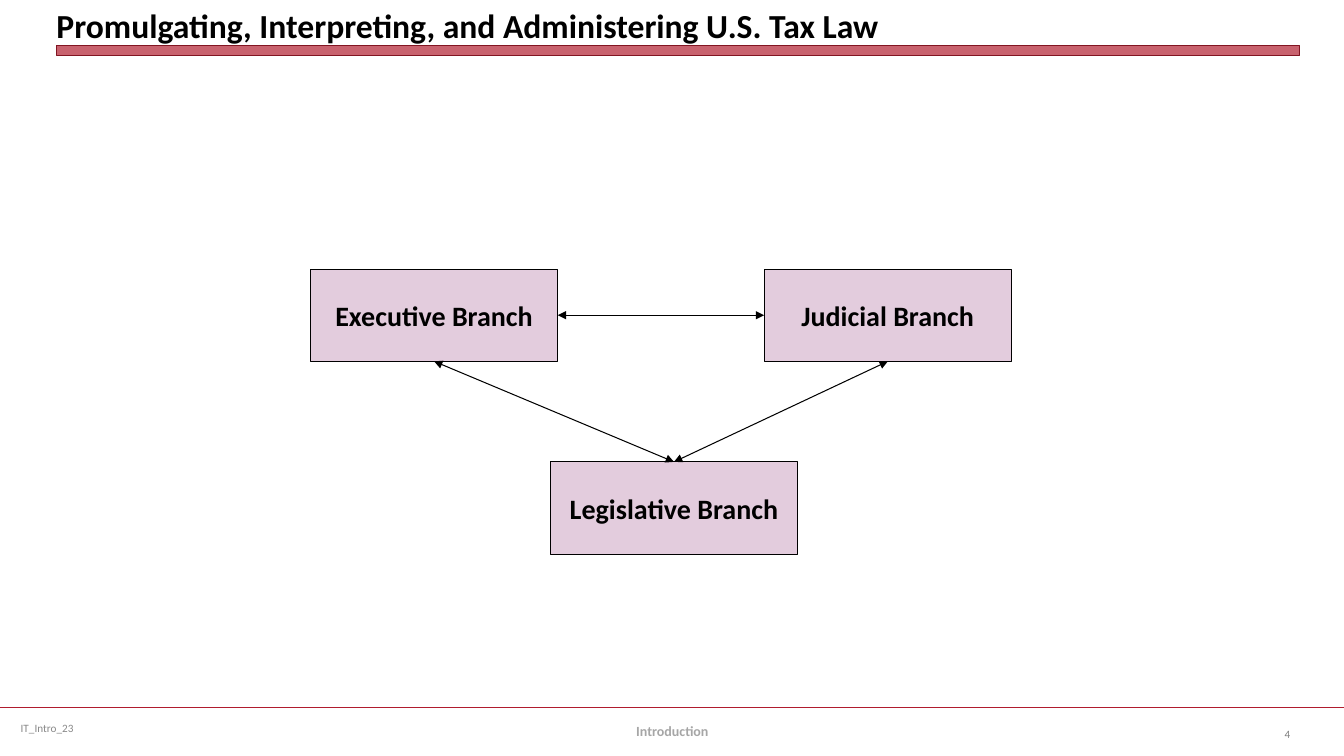
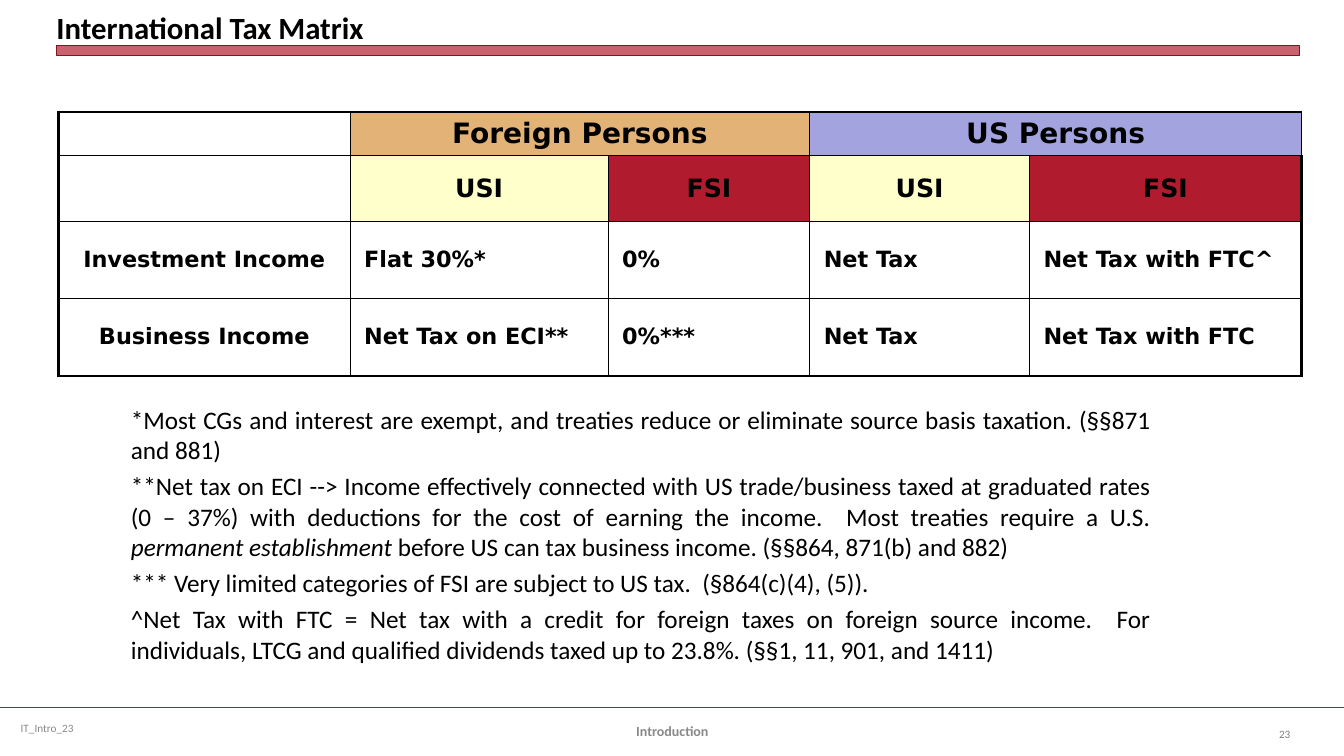
from dataclasses import dataclass
from typing import Any

from pptx import Presentation
from pptx.dml.color import RGBColor
from pptx.enum.shapes import MSO_CONNECTOR, MSO_SHAPE
from pptx.enum.text import MSO_ANCHOR as Anchor, PP_ALIGN as Align
from pptx.oxml.ns import qn
from pptx.oxml.xmlchemy import OxmlElement
from pptx.util import Inches, Pt

BLACK = RGBColor(0x00, 0x00, 0x00)
WHITE = RGBColor(0xFF, 0xFF, 0xFF)
CRIMSON = RGBColor(0xB0, 0x1C, 0x2E)
DARK_CRIMSON = RGBColor(0x82, 0x15, 0x22)
MAUVE = RGBColor(0xE3, 0xCC, 0xDD)
TAN = RGBColor(0xE3, 0xB2, 0x76)
LAVENDER = RGBColor(0xA3, 0xA3, 0xE0)
CREAM = RGBColor(0xFF, 0xFF, 0xCC)
LIGHT_GRAY = RGBColor(0xA6, 0xA6, 0xA6)
GRAY = RGBColor(0x89, 0x89, 0x89)
DARK_GRAY = RGBColor(0x80, 0x80, 0x80)

BODY_FONT, TABLE_FONT = "Calibri", "DejaVu Sans"
SLIDE_WIDTH, SLIDE_HEIGHT = Inches(13.33), Inches(7.5)
TOP, LEFT, BOTTOM, RIGHT = range(4)  # connection sites of a rectangle


def across(percent: float) -> int:
    return round(SLIDE_WIDTH * percent / 100)


def down(percent: float) -> int:
    return round(SLIDE_HEIGHT * percent / 100)


@dataclass(frozen=True)
class Area:
    """A rectangle in percent of the slide's width and height."""
    left: float
    top: float
    width: float
    height: float

    def lengths(self) -> tuple[int, int, int, int]:
        return across(self.left), down(self.top), across(self.width), down(self.height)


@dataclass(frozen=True)
class TextStyle:
    size: float
    color: RGBColor = BLACK
    bold: bool = False
    align: Align = Align.LEFT
    font: str = BODY_FONT


@dataclass(frozen=True)
class Frame:
    """What changes from slide to slide in the title and footer."""
    title: str
    title_size: int
    number: str
    footer_color: RGBColor


@dataclass(frozen=True)
class Branch:
    name: str
    left: float
    top: float


@dataclass(frozen=True)
class Link:
    start: str
    start_site: int
    end: str
    end_site: int


@dataclass(frozen=True)
class MatrixCell:
    text: str = ""
    size: int = 16
    fill: RGBColor = WHITE
    align: Align = Align.LEFT
    span: int = 1


TITLE_AREA = Area(4.2, 0.67, 92.5, 5.33)
BAND_AREA = Area(4.2, 6, 92.5, 1.33)
CODE_AREA = Area(0.8, 93.6, 25.8, 5.33)
FOOTER_AREA = Area(34.2, 94, 31.65, 5.33)
NUMBER_AREA = Area(91.75, 94.4, 5, 5.33)
FOOTER_RULE = 93.6
NOTES_AREA = Area(9, 52.8, 77.4, 38)

BRANCH_WIDTH, BRANCH_HEIGHT = 18.4, 12.2
BRANCHES = (
    Branch("Executive Branch", 23.1, 35.6),
    Branch("Judicial Branch", 56.86, 35.6),
    Branch("Legislative Branch", 40.95, 61.1),
)
LINKS = (
    Link("Executive Branch", BOTTOM, "Legislative Branch", TOP),
    Link("Judicial Branch", BOTTOM, "Legislative Branch", TOP),
    Link("Executive Branch", RIGHT, "Judicial Branch", LEFT),
)

MATRIX_LEFT, MATRIX_TOP = 4.35, 14.8
MATRIX_COLUMNS = (21.7, 19.2, 15, 16.35, 20.25)
MATRIX_ROWS = (5.7, 8.67, 10.2, 10.3)
THIN, THICK = 1, 2.25
USI = MatrixCell("USI", 18, CREAM, Align.CENTER)
FSI = MatrixCell("FSI", 18, CRIMSON, Align.CENTER)
NET_TAX = MatrixCell("Net Tax")
MATRIX = (
    (MatrixCell(), MatrixCell("Foreign Persons", 20, TAN, Align.CENTER, 2),
     MatrixCell("US Persons", 20, LAVENDER, Align.CENTER, 2)),
    (MatrixCell(), USI, FSI, USI, FSI),
    (MatrixCell("Investment Income", align=Align.CENTER), MatrixCell("Flat 30%*"),
     MatrixCell("0%"), NET_TAX, MatrixCell("Net Tax with FTC^")),
    (MatrixCell("Business Income", align=Align.CENTER), MatrixCell("Net Tax on ECI**"),
     MatrixCell("0%***"), NET_TAX, MatrixCell("Net Tax with FTC")),
)

# Every second piece of a note is italic.
NOTES = (
    ("*Most CGs and interest are exempt, and treaties reduce or eliminate source basis "
     "taxation. (§§871 and 881)",),
    ("**Net tax on ECI --> Income effectively connected with US trade/business taxed at "
     "graduated rates (0 – 37%) with deductions for the cost of earning the income.  "
     "Most treaties require a U.S. ",
     "permanent establishment",
     " before US can tax business income. (§§864, 871(b) and 882)"),
    ("*** Very limited categories of FSI are subject to US tax.  (§864(c)(4), (5)).",),
    ("^Net Tax with FTC = Net tax with a credit for foreign taxes on foreign source income.  "
     "For individuals, LTCG and qualified dividends taxed up to 23.8%. "
     "(§§1, 11, 901, and 1411)",),
)


def assign(target: Any, values: dict[str, Any]) -> None:
    for name, value in values.items():
        setattr(target, name, value)


def add_element(parent: Any, tag: str, **attributes: str) -> Any:
    element = OxmlElement(tag)
    for name, value in attributes.items():
        element.set(name, value)
    parent.append(element)
    return element


def style_paragraph(para: Any, style: TextStyle) -> None:
    para.alignment = style.align
    assign(para.font, {"name": style.font, "size": Pt(style.size), "bold": style.bold})
    para.font.color.rgb = style.color


def write(frame: Any, text: str, style: TextStyle) -> None:
    para = frame.paragraphs[0]
    style_paragraph(para, style)
    para.add_run().text = text


def add_text(page: Any, area: Area, text: str, style: TextStyle) -> Any:
    frame = page.shapes.add_textbox(*area.lengths()).text_frame
    assign(frame, {"word_wrap": True, "vertical_anchor": Anchor.MIDDLE})
    write(frame, text, style)
    return frame


def add_box(page: Any, area: Area, fill: RGBColor, line: RGBColor, weight: float) -> Any:
    box = page.shapes.add_shape(MSO_SHAPE.RECTANGLE, *area.lengths())
    box.shadow.inherit = False
    box.fill.solid()
    box.fill.fore_color.rgb = fill
    box.line.color.rgb = line
    box.line.width = Pt(weight)
    return box


def add_line(page: Any, ends: tuple[int, int, int, int], color: RGBColor, weight: float) -> Any:
    line = page.shapes.add_connector(MSO_CONNECTOR.STRAIGHT, *ends)
    line.line.color.rgb = color
    line.line.width = Pt(weight)
    add_element(line._element.spPr, "a:effectLst")
    return line


def add_page(deck: Any, frame: Frame) -> Any:
    """Add a blank slide with the shared title, band and footer."""
    page = deck.slides.add_slide(deck.slide_layouts[6])
    rule = down(FOOTER_RULE)
    add_line(page, (0, rule, SLIDE_WIDTH, rule), CRIMSON, 1.25)
    band = add_box(page, BAND_AREA, CRIMSON, DARK_CRIMSON, 0)
    band_color = band._element.spPr.find(qn("a:solidFill"))[0]
    add_element(band_color, "a:alpha", val="69000")

    title = add_text(page, TITLE_AREA, frame.title, TextStyle(frame.title_size, bold=True))
    assign(title, {"vertical_anchor": Anchor.BOTTOM, "margin_left": 0, "margin_right": 0,
                   "margin_top": 0, "margin_bottom": 0})
    add_text(page, CODE_AREA, "IT_Intro_23", TextStyle(8, GRAY))
    add_text(page, FOOTER_AREA, "Introduction",
             TextStyle(10, frame.footer_color, True, Align.CENTER))
    add_text(page, NUMBER_AREA, frame.number, TextStyle(8, DARK_GRAY, align=Align.RIGHT))
    return page


def add_branches(page: Any) -> None:
    boxes = {}
    for branch in BRANCHES:
        area = Area(branch.left, branch.top, BRANCH_WIDTH, BRANCH_HEIGHT)
        box = add_box(page, area, MAUVE, BLACK, 0.75)
        box.text_frame.vertical_anchor = Anchor.MIDDLE
        write(box.text_frame, branch.name, TextStyle(20, bold=True, align=Align.CENTER))
        boxes[branch.name] = box
    for link in LINKS:
        arrow = add_line(page, (0, 0, 0, 0), BLACK, 0.75)
        arrow.begin_connect(boxes[link.start], link.start_site)
        arrow.end_connect(boxes[link.end], link.end_site)
        for end in ("a:headEnd", "a:tailEnd"):
            add_element(arrow.line._get_or_add_ln(), end, type="triangle")


def add_borders(cell: Any, row: int, column: int) -> None:
    """Draw thin inner lines and a thick outer edge."""
    outer = {
        "a:lnL": column == 0,
        "a:lnR": column == len(MATRIX_COLUMNS) - 1,
        "a:lnT": row == 0,
        "a:lnB": row == len(MATRIX_ROWS) - 1,
    }
    properties = cell._tc.get_or_add_tcPr()
    for tag, is_outer in outer.items():
        line = add_element(properties, tag, w=str(Pt(THICK if is_outer else THIN)))
        add_element(add_element(line, "a:solidFill"), "a:srgbClr", val=str(BLACK))


def fill_cell(cell: Any, content: MatrixCell) -> None:
    cell.fill.solid()
    cell.fill.fore_color.rgb = content.fill
    assign(cell, {"vertical_anchor": Anchor.MIDDLE,
                  "margin_left": Inches(0.14), "margin_right": Inches(0.14),
                  "margin_top": Inches(0.05), "margin_bottom": Inches(0.05)})
    style = TextStyle(content.size, BLACK, True, content.align, TABLE_FONT)
    if content.text:
        write(cell.text_frame, content.text, style)
    else:
        style_paragraph(cell.text_frame.paragraphs[0], style)


def add_matrix(page: Any) -> None:
    area = Area(MATRIX_LEFT, MATRIX_TOP, sum(MATRIX_COLUMNS), sum(MATRIX_ROWS))
    table = page.shapes.add_table(len(MATRIX_ROWS), len(MATRIX_COLUMNS), *area.lengths()).table
    assign(table, {"first_row": False, "horz_banding": False})
    for column, width in zip(table.columns, MATRIX_COLUMNS):
        column.width = across(width)
    for row, height in zip(table.rows, MATRIX_ROWS):
        row.height = down(height)
    for row, contents in enumerate(MATRIX):
        column = 0
        for content in contents:
            last = column + content.span - 1
            for part in range(column, last + 1):
                add_borders(table.cell(row, part), row, part)
            cell = table.cell(row, column)
            if content.span > 1:
                cell.merge(table.cell(row, last))
            fill_cell(cell, content)
            column = last + 1


def add_notes(page: Any) -> None:
    frame = page.shapes.add_textbox(*NOTES_AREA.lengths()).text_frame
    frame.word_wrap = True
    for index, pieces in enumerate(NOTES):
        para = frame.add_paragraph() if index else frame.paragraphs[0]
        style_paragraph(para, TextStyle(18, align=Align.JUSTIFY))
        indent = Inches(0.12)
        assign(para._p.get_or_add_pPr(), {"marL": indent, "indent": -indent})
        if index:
            para.space_before = Pt(4.3)
        for position, piece in enumerate(pieces):
            span = para.add_run()
            span.text = piece
            if position % 2:
                span.font.italic = True


def main() -> None:
    deck = Presentation()
    assign(deck, {"slide_width": SLIDE_WIDTH, "slide_height": SLIDE_HEIGHT})
    add_branches(add_page(deck, Frame(
        "Promulgating, Interpreting, and Administering U.S. Tax Law", 24, "4", LIGHT_GRAY)))
    matrix_page = add_page(deck, Frame("International Tax Matrix", 22, "23", GRAY))
    add_matrix(matrix_page)
    add_notes(matrix_page)
    deck.save("out.pptx")


if __name__ == "__main__":
    main()
